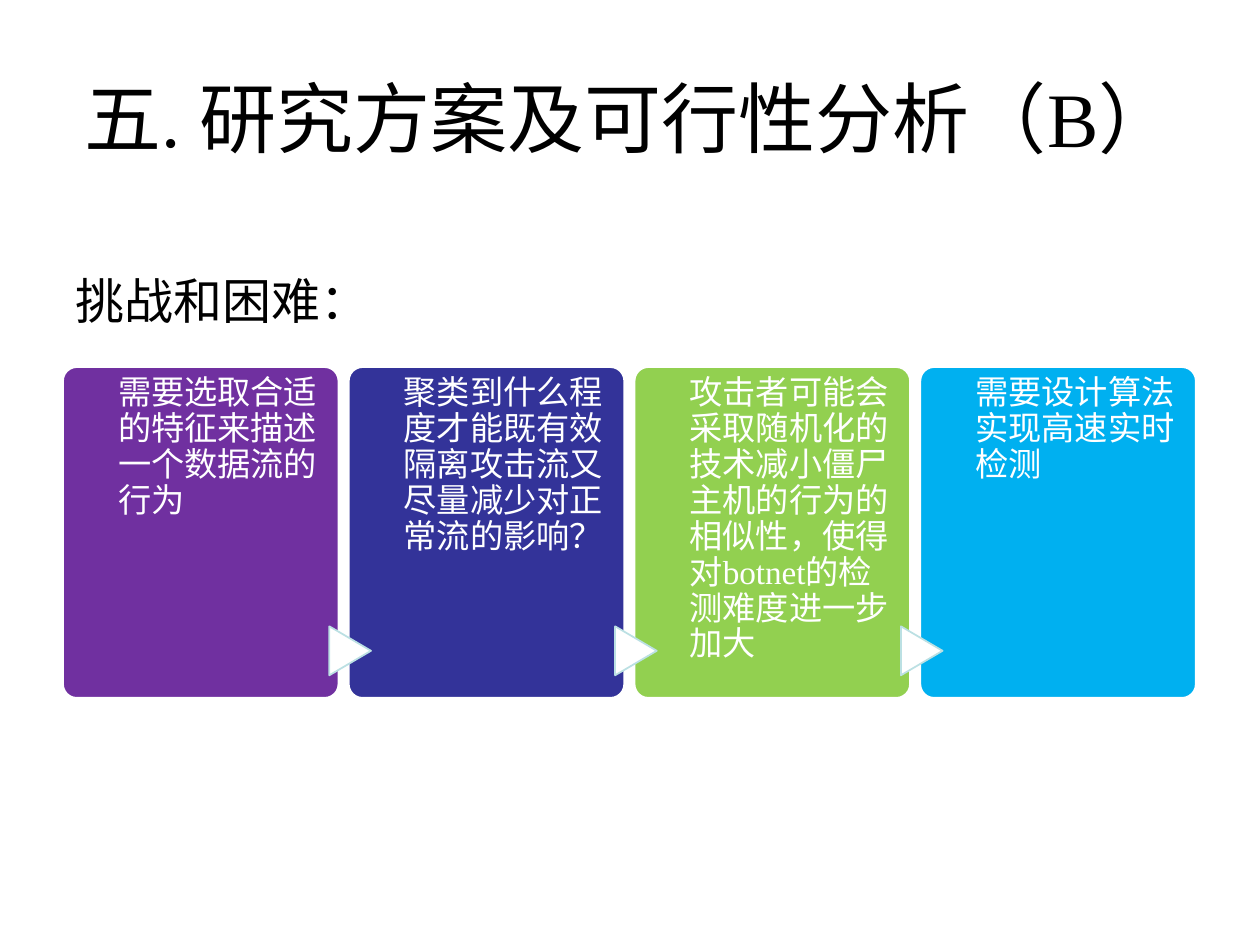
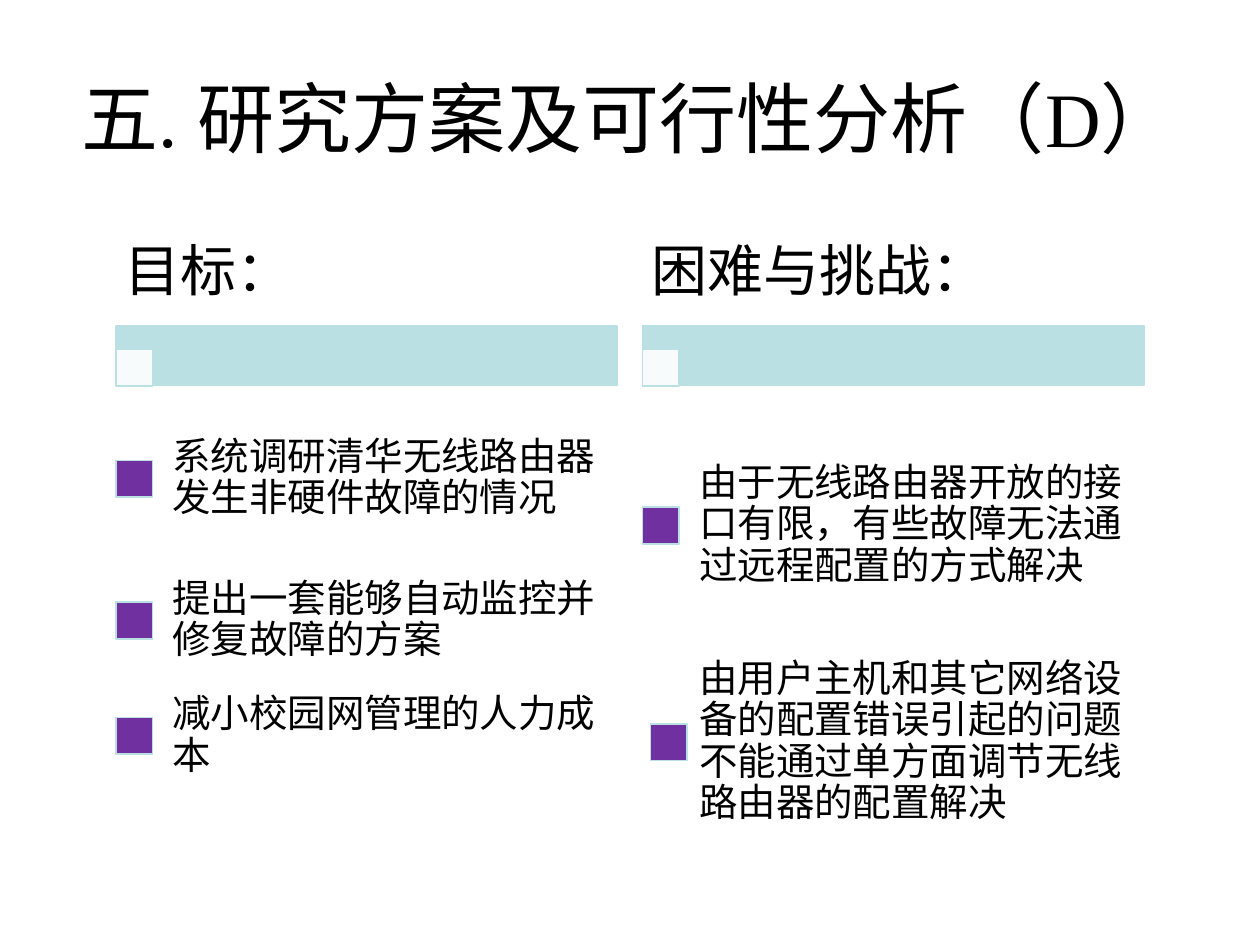
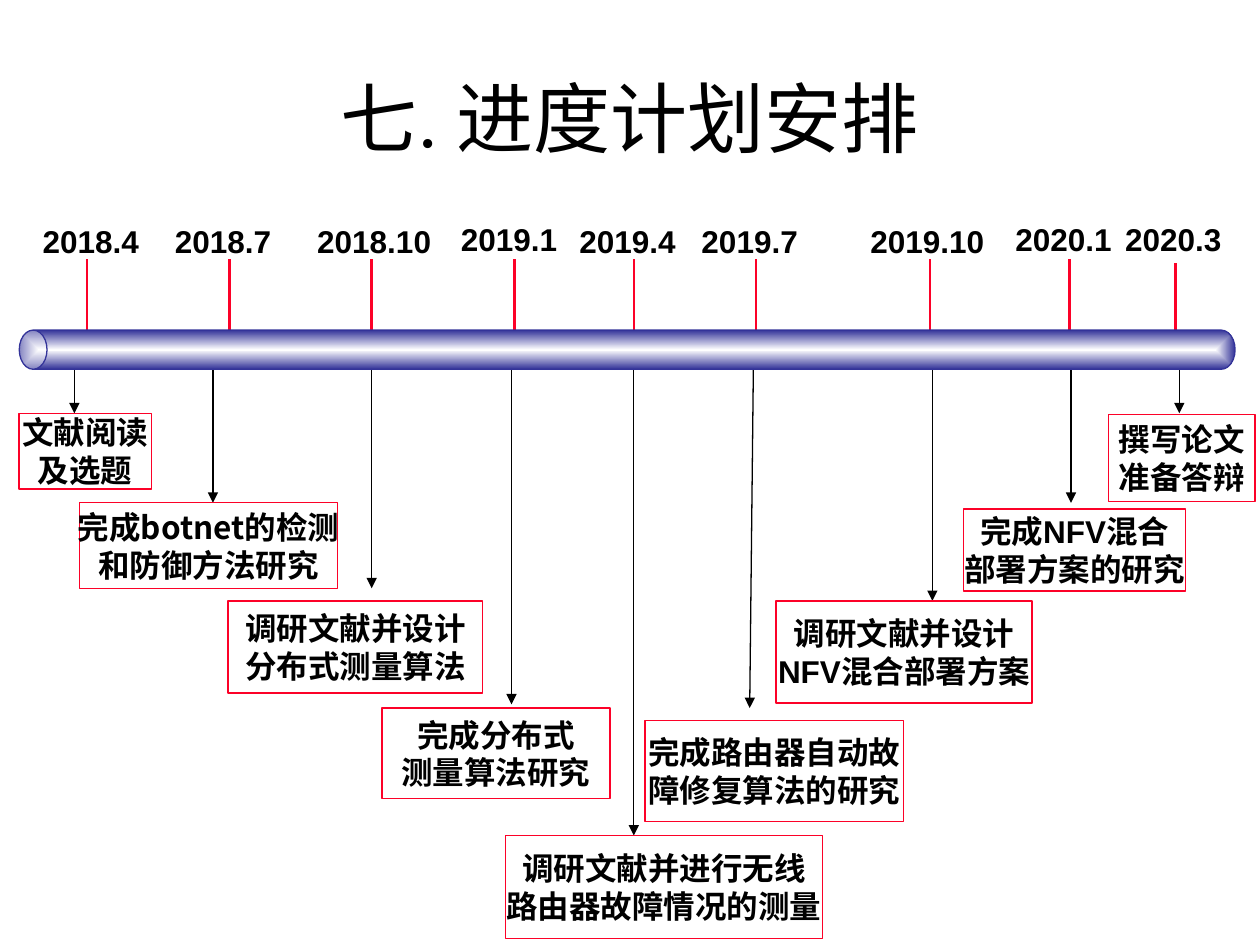
import dataclasses

import lxml.etree
import pptx
import pptx.dml.color
import pptx.enum.shapes
import pptx.enum.text
import pptx.oxml
import pptx.oxml.ns
import pptx.util

Pt = pptx.util.Pt
RGB = pptx.dml.color.RGBColor.from_string
Shapes = pptx.enum.shapes.MSO_SHAPE
Align = pptx.enum.text.PP_ALIGN
Anchor = pptx.enum.text.MSO_ANCHOR
qn = pptx.oxml.ns.qn


@dataclasses.dataclass(frozen=True)
class Theme:
    black: str = "000000"
    white: str = "FFFFFF"
    purple: str = "7030A0"
    navy: str = "333399"
    green: str = "92D050"
    sky: str = "00B0F0"
    pale: str = "BBE0E3"
    red: str = "FC0128"
    serif: str = "Times New Roman"
    sans: str = "Arial"
    chinese: str = "Noto Sans CJK SC"
    title_size: int = 44
    heading_size: int = 32
    subtitle_size: int = 28
    point_size: int = 22
    card_size: int = 19
    label_size: int = 18


theme = Theme()


def draw(page, kind, place, fill, line, width=1):
    shape = page.shapes.add_shape(kind, *map(Pt, place))
    shape.shadow.inherit = False
    if fill:
        shape.fill.solid()
        shape.fill.fore_color.rgb = RGB(fill)
    else:
        shape.fill.background()
    shape.line.color.rgb = RGB(line)
    shape.line.width = Pt(width)
    return shape


def write(box, text, size, font=theme.serif, color=theme.black, bold=False, align=Align.LEFT,
          anchor=Anchor.TOP, margins=(7.2, 3.6, 7.2, 3.6), spacing=1.0, wrap=True):
    frame = box.text_frame
    frame.text = text
    frame.word_wrap = wrap
    frame.auto_size = pptx.enum.text.MSO_AUTO_SIZE.NONE
    frame.vertical_anchor = anchor
    frame.margin_left, frame.margin_top, frame.margin_right, frame.margin_bottom = map(Pt, margins)
    for para in frame.paragraphs:
        para.alignment = align
        para.line_spacing = spacing
        para.font.name = font
        para.font.size = Pt(size)
        para.font.bold = bold
        para.font.color.rgb = RGB(color)


deck = pptx.Presentation()
deck.slide_width, deck.slide_height = Pt(720), Pt(540)

pages = []
for heading in ["五. 研究方案及可行性分析（B）", "五. 研究方案及可行性分析（D）", "七. 进度计划安排"]:
    page = deck.slides.add_slide(deck.slide_layouts[5])
    title = page.shapes.title
    title.left, title.top, title.width, title.height = map(Pt, (36, 21.6, 648, 90))
    write(title, heading, theme.title_size, align=Align.CENTER, anchor=Anchor.MIDDLE)
    pages.append(page)
challenge_page, goal_page, schedule_page = pages

challenges = [
    (theme.purple, "需要选取合适的特征来描述一个数据流的行为"),
    (theme.navy, "聚类到什么程度才能既有效隔离攻击流又尽量减少对正常流的影响？"),
    (theme.green, "攻击者可能会采取随机化的技术减小僵尸主机的行为的相似性，使得对botnet的检测难度进一步加大"),
    (theme.sky, "需要设计算法实现高速实时检测"),
]
for index, (color, text) in enumerate(challenges):
    left = 36 + index * 163.3
    card = draw(challenge_page, Shapes.ROUNDED_RECTANGLE, (left, 209.8, 157.4, 189), color, theme.white)
    card.adjustments[0] = 0.05
    if index:
        pointer = draw(challenge_page, Shapes.FLOWCHART_EXTRACT, (left - 13.2, 360, 28, 23.8),
                       theme.white, theme.pale)
        pointer.rotation = 90
    box = challenge_page.shapes.add_textbox(*map(Pt, (left + 31.5, 209.8, 117.4, 189)))
    write(box, text, theme.card_size, color=theme.white, margins=(0, 5, 0, 0), spacing=0.9)

box = challenge_page.shapes.add_textbox(*map(Pt, (36, 151.2, 306, 41)))
write(box, "挑战和困难：", theme.subtitle_size)

columns = [
    (66.2, "目标：", [
        (79.2, 0, "系统调研清华无线路由器发生非硬件故障的情况"),
        (82.8, 0, "提出一套能够自动监控并修复故障的方案"),
        (49, 0, "减小校园网管理的人力成本"),
    ]),
    (367.2, "困难与挑战：", [
        (132.5, 0, "由于无线路由器开放的接口有限，有些故障无法通过远程配置的方式解决"),
        (115.2, 4.5, "由用户主机和其它网络设备的配置错误引起的问题不能通过单方面调节无线路由器的配置解决"),
    ]),
]
marker = 21
for left, heading, points in columns:
    draw(goal_page, Shapes.RECTANGLE, (left, 186.5, 286.6, 33.8), theme.pale, theme.pale)
    corner = draw(goal_page, Shapes.RECTANGLE, (left, 199.4, marker, marker), theme.white, theme.pale)
    tint = corner.element.spPr.find(qn("a:solidFill"))[0]
    lxml.etree.SubElement(tint, qn("a:alpha"), val="90000")
    box = goal_page.shapes.add_textbox(*map(Pt, (left, 126, 286.6, 60.5)))
    write(box, heading, theme.heading_size, anchor=Anchor.MIDDLE, margins=(5, 3, 5, 3), spacing=0.9)
    top = 234
    for height, shift, text in points:
        draw(goal_page, Shapes.RECTANGLE, (left + shift, top + (height - marker) / 2, marker, marker),
             theme.purple, theme.pale)
        box = goal_page.shapes.add_textbox(*map(Pt, (left + 20.2, top, 266.4, height)))
        write(box, text, theme.point_size, anchor=Anchor.MIDDLE, margins=(12.2,) * 4, spacing=0.9)
        top += height

milestones = [
    ("2018.4", 17.3, 49.7, (42.5, 207.4, 42.5, 236.2),
     (10.8, 236.2, 75.6, 43.2), theme.sans, "文献阅读\n及选题"),
    ("2018.7", 92.9, 131, (121.7, 207.4, 121.7, 287.3),
     (45.4, 287.3, 147.6, 49), theme.chinese, "完成botnet的检测\n和防御方法研究"),
    ("2018.10", 174.2, 212.4, (212.4, 207.4, 212.4, 336.2),
     (130.3, 343.4, 145.4, 52.6), theme.chinese, "调研文献并设计\n分布式测量算法"),
    ("2019.1", 256.3, 294, (292.3, 211, 292.3, 402.5),
     (218.2, 404.6, 130.3, 51.8), theme.chinese, "完成分布式\n测量算法研究"),
    ("2019.4", 324, 362.2, (362.2, 207.4, 362.2, 477.4),
     (288.7, 477.4, 181.4, 59), theme.serif, "调研文献并进行无线\n路由器故障情况的测量"),
    ("2019.7", 393.8, 432, (430.6, 202.3, 428.4, 404.6),
     (368.6, 411.8, 147.6, 57.6), theme.sans, "完成路由器自动故\n障修复算法的研究"),
    ("2019.10", 490.3, 531.4, (532.8, 207.4, 532.8, 343.4),
     (443.5, 343.4, 146.2, 58.3), theme.sans, "调研文献并设计\nNFV混合部署方案"),
    ("2020.1", 573.1, 611.3, (612, 207.4, 612, 287.3),
     (550.8, 290.9, 126.7, 46.8), theme.sans, "完成NFV混合\n部署方案的研究"),
    ("2020.3", 635.8, 671.8, (673.9, 207.4, 673.9, 236.2),
     (633.6, 236.9, 83.5, 49.7), theme.sans, "撰写论文\n准备答辩"),
]
for date, date_left, tick, arrow, place, font, task in milestones:
    tick_top = 150.5 if date == "2020.3" else 148.3
    for ends, color, width in [(arrow, theme.black, 0.75), ((tick, tick_top, tick, 188.5), theme.red, 1.5)]:
        line = schedule_page.shapes.add_connector(pptx.enum.shapes.MSO_CONNECTOR.STRAIGHT, *map(Pt, ends))
        line.line.color.rgb = RGB(color)
        line.line.width = Pt(width)
        properties = line.element.spPr
        lxml.etree.SubElement(properties, qn("a:effectLst"))
        if ends == arrow:
            lxml.etree.SubElement(properties.find(qn("a:ln")), qn("a:tailEnd"), type="triangle")
    box = draw(schedule_page, Shapes.ROUNDED_RECTANGLE, place, None, theme.red, 0.75)
    box.adjustments[0] = 0
    write(box, task, theme.label_size, font, bold=True, align=Align.CENTER, anchor=Anchor.MIDDLE,
          margins=(0, 3.6, 0, 3.6), wrap=False)
    date_top = 122.4 if date in ("2019.1", "2020.1", "2020.3") else 123.1
    box = schedule_page.shapes.add_textbox(*map(Pt, (date_left, date_top, 80 if len(date) > 6 else 69.8, 28.8)))
    write(box, date, theme.label_size, theme.sans, bold=True, wrap=False)

timeline = draw(schedule_page, Shapes.CAN, (347.2, -147.6, 22.4, 694.8), theme.navy, theme.navy, 0.75)
timeline.rotation = 270
timeline.adjustments[0] = 0.71
solid = timeline.element.spPr.find(qn("a:solidFill"))
gradient = pptx.oxml.parse_xml(
    f'<a:gradFill xmlns:a="{pptx.oxml.ns.nsuri("a")}" rotWithShape="1"><a:gsLst>'
    f'<a:gs pos="0"><a:srgbClr val="{theme.white}"/></a:gs>'
    f'<a:gs pos="100000"><a:srgbClr val="{theme.navy}"/></a:gs></a:gsLst>'
    '<a:path path="rect"><a:fillToRect l="50000" t="50000" r="50000" b="50000"/></a:path></a:gradFill>')
solid.getparent().replace(solid, gradient)

deck.save("out.pptx")
